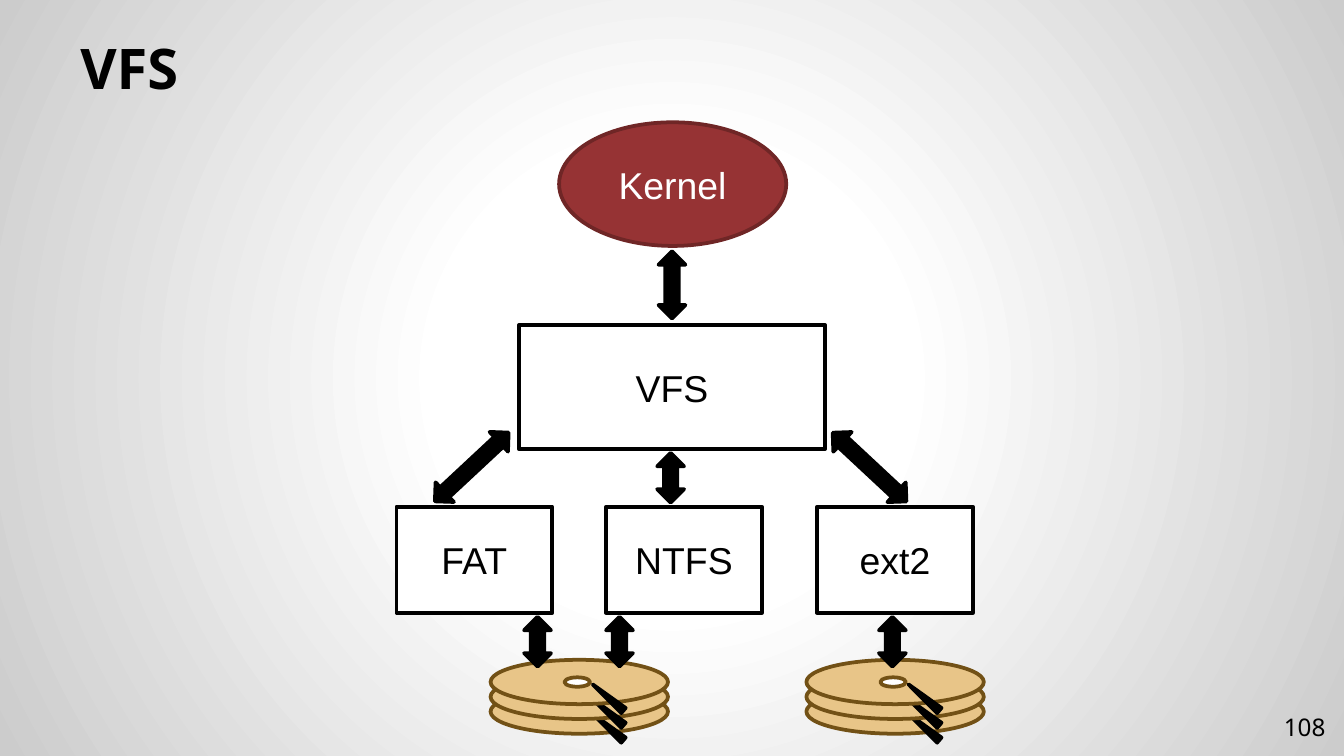
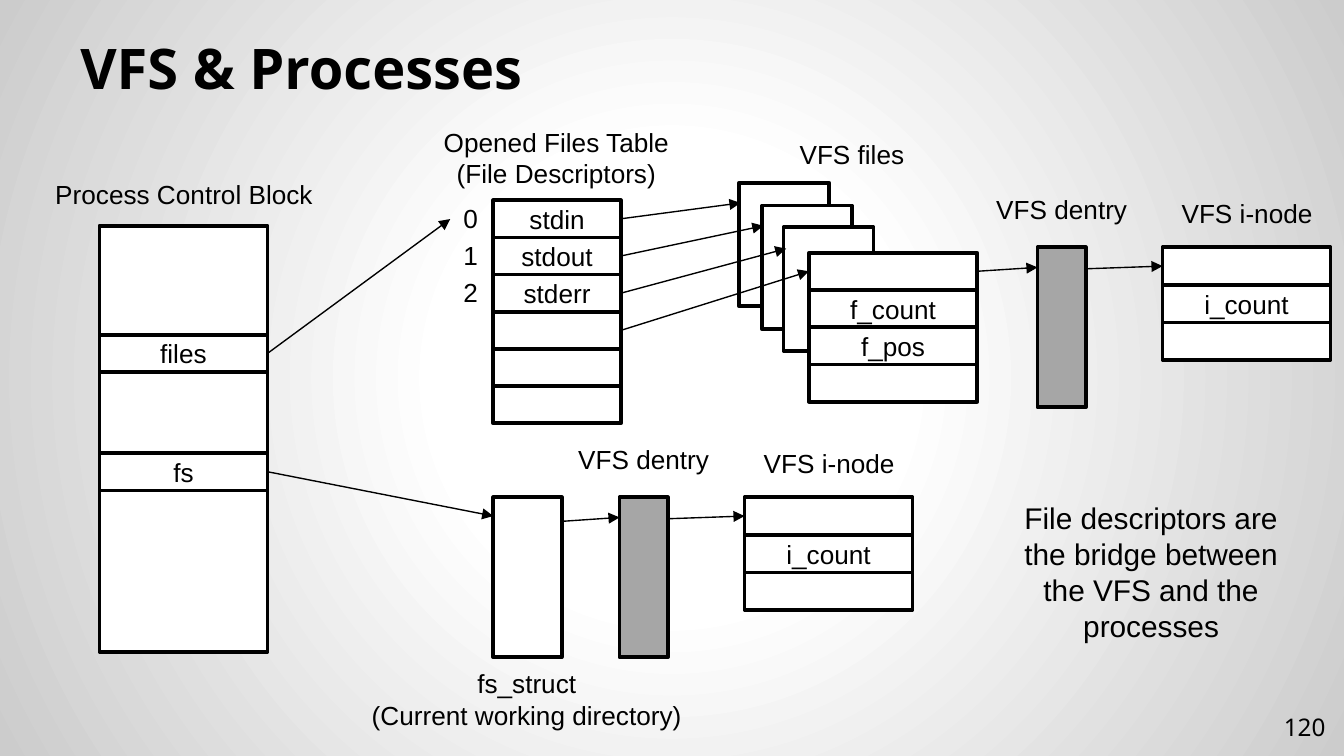
from lxml import etree
from pptx import Presentation
from pptx.dml.color import RGBColor
from pptx.enum.shapes import MSO_CONNECTOR, MSO_SHAPE
from pptx.enum.text import MSO_ANCHOR, MSO_AUTO_SIZE, PP_ALIGN
from pptx.oxml import parse_xml
from pptx.oxml.ns import nsdecls, qn
from pptx.util import Inches, Pt

RECT, OVAL = MSO_SHAPE.RECTANGLE, MSO_SHAPE.OVAL
WEDGE, ARROW = MSO_SHAPE.ISOSCELES_TRIANGLE, MSO_SHAPE.UP_DOWN_ARROW
LINE = MSO_CONNECTOR.STRAIGHT
MIDDLE, BOTTOM = MSO_ANCHOR.MIDDLE, MSO_ANCHOR.BOTTOM
LEFT, CENTER, RIGHT = PP_ALIGN.LEFT, PP_ALIGN.CENTER, PP_ALIGN.RIGHT
GROW = MSO_AUTO_SIZE.SHAPE_TO_FIT_TEXT

COLORS = {
    "black": "000000", "white": "FFFFFF", "edge": "CCCCCC", "gray": "A6A6A6",
    "red": "963334", "maroon": "6F2626", "tan": "E8C588", "brown": "725116",
}
BODY, HEAD = "Arial", "Noto Sans"


def rgb(name):
    return RGBColor.from_string(COLORS[name])


def write(frame, text, size, font=BODY, color="black", align=CENTER,
          bold=False):
    """Fill a text frame, one paragraph per line of text."""
    frame.word_wrap = True
    for i, line in enumerate(text.split("\n")):
        para = frame.add_paragraph() if i else frame.paragraphs[0]
        para.alignment = align
        run = para.add_run()
        run.text = line
        run.font.name = font
        run.font.size = Pt(size)
        run.font.bold = bold
        run.font.color.rgb = rgb(color)


def label(slide, x, y, w, h, text, size=14, align=CENTER):
    box = slide.shapes.add_textbox(*map(Inches, (x, y, w, h)))
    write(box.text_frame, text, size, align=align)
    box.text_frame.auto_size = GROW


def shape(slide, kind, x, y, w, h, text="", size=14, fill="white",
          line="black", color="black", turn=0):
    item = slide.shapes.add_shape(kind, *map(Inches, (x, y, w, h)))
    item.shadow.inherit = False
    item.fill.solid()
    item.fill.fore_color.rgb = rgb(fill)
    item.line.color.rgb = rgb(line)
    item.line.width = Pt(2)
    item.rotation = turn
    if text:
        item.text_frame.vertical_anchor = MIDDLE
        write(item.text_frame, text, size, color=color)
    return item


def column(slide, x, y, w, h, texts):
    """Stack equal cells downward and return them."""
    row = h / len(texts)
    return [shape(slide, RECT, x, y + i * row, w, row, text)
            for i, text in enumerate(texts)]


def link(slide, start, end):
    """Draw an arrow; each end is a point or a (shape, side) pair."""
    spots = [(0, 0) if hasattr(p[0], "shape_id") else tuple(map(Inches, p))
             for p in (start, end)]
    wire = slide.shapes.add_connector(LINE, *spots[0], *spots[1])
    for spot, join in ((start, wire.begin_connect), (end, wire.end_connect)):
        if hasattr(spot[0], "shape_id"):
            join(*spot)
    wire.line.color.rgb = rgb("black")
    wire.line.width = Pt(0.75)
    props = wire.element.spPr
    etree.SubElement(props.find(qn("a:ln")), qn("a:tailEnd"), type="triangle")
    etree.SubElement(props, qn("a:effectLst"))


def backdrop(slide):
    """Radial gradient from white to light gray."""
    slide.background.fill.solid()
    stops = "".join(
        f'<a:gs pos="{pos}000"><a:srgbClr val="{COLORS[name]}"/></a:gs>'
        for pos, name in ((0, "white"), (30, "white"), (100, "edge")))
    grad = parse_xml(
        f'<a:gradFill {nsdecls("a")}><a:gsLst>{stops}</a:gsLst>'
        '<a:path path="circle"><a:fillToRect l="50000" t="50000" '
        'r="50000" b="50000"/></a:path></a:gradFill>')
    solid = slide.element.find(".//" + qn("p:bgPr")).find(qn("a:solidFill"))
    solid.getparent().replace(solid, grad)


def page(deck, title, number):
    """Add a slide with the shared backdrop, title and page number."""
    slide = deck.slides.add_slide(deck.slide_layouts[6])
    backdrop(slide)
    for text, spot, size, anchor, align, bold in (
            (title, (0.5, 0.23, 9, 0.62), 30, BOTTOM, LEFT, True),
            (number, (9.36, 5.19, 0.6, 0.43), 13, MIDDLE, RIGHT, False)):
        frame = slide.shapes.add_textbox(*map(Inches, spot)).text_frame
        frame.margin_top = frame.margin_bottom = Inches(0.1)
        frame.vertical_anchor = anchor
        write(frame, text, size, HEAD, align=align, bold=bold)
    return slide


def disk(slide, x):
    """Three platters, each with its read head, and a hub on top."""
    for y in (5.13, 5.02, 4.91):
        shape(slide, OVAL, x, y, 1.32, 0.33, fill="tan", line="brown")
        shape(slide, WEDGE, x + 0.85, y + 0.13, 0.05, 0.3, fill="black",
              turn=310.4)
    shape(slide, OVAL, x + 0.55, 5.04, 0.19, 0.07, line="brown")


def dentry(slide, x, y):
    label(slide, x - 0.65, y - 0.45, 1.66, 0.34, "VFS dentry")
    return shape(slide, RECT, x, y, 0.36, 1.19, fill="gray")


def inode(slide, x, y):
    label(slide, x - 0.2, y - 0.42, 1.66, 0.34, "VFS i-node")
    return column(slide, x, y, 1.25, 0.84, ["", "i_count", ""])


def layers(deck):
    slide = page(deck, "VFS", "108")
    shape(slide, OVAL, 4.16, 0.91, 1.69, 0.92, "Kernel", 20, "red", "maroon",
          "white")
    shape(slide, RECT, 3.86, 2.42, 2.28, 0.92, "VFS", 20)
    for x, name in ((2.95, "FAT"), (4.51, "NTFS"), (6.08, "ext2")):
        shape(slide, RECT, x, 3.77, 1.16, 0.79, name, 20)
    for x in (3.65, 6):
        disk(slide, x)
    # Two-way arrows between the layers
    for x, y, h, turn in ((4.9, 1.87, 0.5, 0), (3.41, 3.1, 0.75, 47),
                          (4.89, 3.37, 0.37, 0), (3.9, 4.59, 0.37, 0),
                          (4.51, 4.59, 0.37, 0), (6.54, 4.59, 0.37, 0),
                          (6.37, 3.1, 0.75, 313)):
        shape(slide, ARROW, x, y, 0.2, h, fill="black", turn=turn)


def tables(deck):
    slide = page(deck, "VFS & Processes", "120")

    # Pile of open files
    for x, y in ((5.5, 1.36), (5.67, 1.53), (5.83, 1.69)):
        shape(slide, RECT, x, y, 0.67, 0.92)
    label(slide, 5.51, 0.98, 1.66, 0.34, "VFS files")
    file = column(slide, 6.02, 1.88, 1.25, 1.11, ["", "f_count", "f_pos", ""])

    # Process control block
    shape(slide, RECT, 0.74, 1.68, 1.25, 3.17)
    files = shape(slide, RECT, 0.74, 2.49, 1.25, 0.28, "files")
    root = shape(slide, RECT, 0.74, 3.37, 1.25, 0.28, "fs")
    label(slide, 0.23, 1.28, 2.28, 0.34, "Process Control Block")

    # Descriptor table
    opened = column(slide, 3.67, 1.49, 0.95, 1.66,
                    ["stdin", "stdout", "stderr", "", "", ""])
    for i, y in enumerate((1.46, 1.73, 2.01)):
        label(slide, 3.35, y, 0.31, 0.34, str(i), align=LEFT)
    label(slide, 3.08, 0.89, 2.12, 0.57,
          "Opened Files Table\n(File Descriptors)")

    # Directory entries and i-nodes
    dentry(slide, 7.72, 1.84)
    node = inode(slide, 8.65, 1.84)
    dentry(slide, 4.61, 3.7)
    base = inode(slide, 5.54, 3.7)

    # Working directory
    shape(slide, RECT, 3.67, 3.7, 0.51, 1.19)
    label(slide, 2.66, 4.92, 2.52, 0.57,
          "fs_struct\n(Current working directory)")

    # Arrows
    ends = ((5.51, 1.51), (5.68, 1.68), (5.85, 1.85), (file[0], 1))
    for cell, end in zip(opened, ends):
        link(slide, (cell, 3), end)
    for start, end in (((files, 3), (3.35, 1.63)),
                       ((file[0], 3), (7.72, 1.99)),
                       ((8.08, 2), (node[0], 1)),
                       ((root, 3), (3.67, 3.84)),
                       ((4.17, 3.88), (4.61, 3.85)),
                       ((4.97, 3.86), (base[0], 1))):
        link(slide, start, end)

    label(slide, 7.38, 3.67, 2.37, 1.18, "File descriptors are the bridge "
          "between the VFS and the processes", 16)


def main():
    deck = Presentation()
    deck.slide_width = Inches(10)
    deck.slide_height = Inches(10 * 9 / 16)
    layers(deck)
    tables(deck)
    deck.save("out.pptx")


if __name__ == "__main__":
    main()
